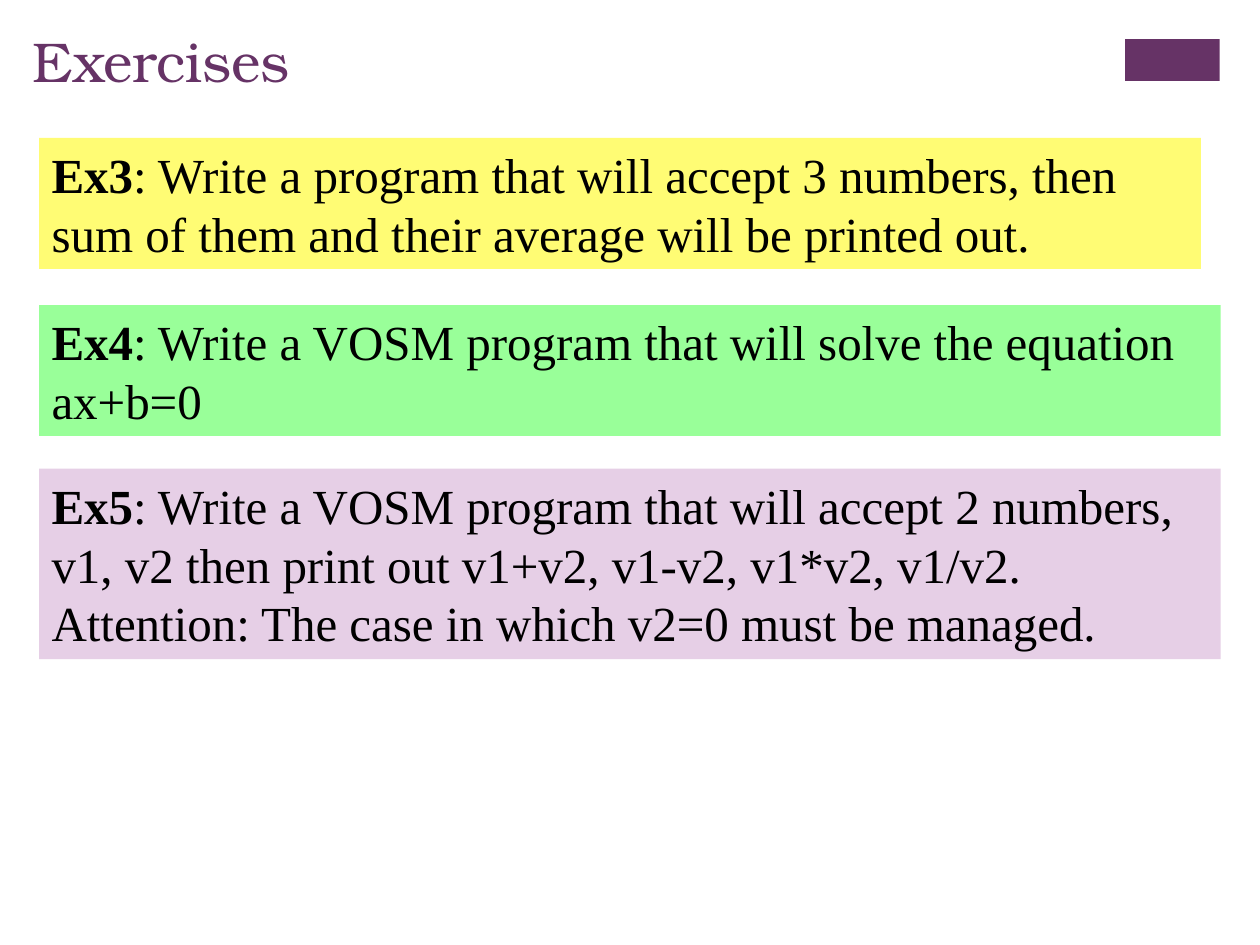
from dataclasses import dataclass

from pptx import Presentation
from pptx.dml.color import RGBColor
from pptx.enum.shapes import MSO_SHAPE
from pptx.enum.text import MSO_ANCHOR, PP_ALIGN
from pptx.util import Cm, Pt


@dataclass(frozen=True)
class Theme:
    accent: str = "663366"
    text: str = "000000"
    yellow: str = "FFFC74"
    green: str = "99FF99"
    lilac: str = "E6CFE6"
    title_font: str = "TeX Gyre Bonum"
    body_font: str = "Times New Roman"
    title_size: int = 32
    body_size: int = 28


def add_text(paragraph, text, *, font, size, color, bold=False):
    run = paragraph.add_run()
    run.text = text
    run.font.name = font
    run.font.size = Pt(size)
    run.font.bold = bold
    run.font.color.rgb = RGBColor.from_string(color)


class SlideBuilder:
    def __init__(self, slide, theme):
        self.slide = slide
        self.theme = theme

    def prepare_frame(self, shape):
        frame = shape.text_frame
        frame.word_wrap = True
        frame.vertical_anchor = MSO_ANCHOR.TOP
        frame.margin_left = frame.margin_right = Cm(0.25)
        frame.margin_top = frame.margin_bottom = Cm(0.13)
        return frame

    def title(self, text, left, top, width, height):
        shape = self.slide.shapes.title
        shape.left, shape.top = Cm(left), Cm(top)
        shape.width, shape.height = Cm(width), Cm(height)
        paragraph = self.prepare_frame(shape).paragraphs[0]
        paragraph.alignment = PP_ALIGN.LEFT
        add_text(paragraph, text, font=self.theme.title_font,
                 size=self.theme.title_size, color=self.theme.accent)

    def rectangle(self, left, top, width, height, fill):
        shape = self.slide.shapes.add_shape(
            MSO_SHAPE.RECTANGLE, Cm(left), Cm(top), Cm(width), Cm(height))
        shape.shadow.inherit = False
        shape.fill.solid()
        shape.fill.fore_color.rgb = RGBColor.from_string(fill)
        shape.line.fill.background()
        return shape

    def exercise(self, label, lines, top, width, height, fill):
        shape = self.rectangle(0.79, top, width, height, fill)
        frame = self.prepare_frame(shape)
        style = dict(font=self.theme.body_font, size=self.theme.body_size,
                     color=self.theme.text)
        for index, line in enumerate(lines):
            paragraph = frame.add_paragraph() if index else frame.paragraphs[0]
            paragraph.alignment = PP_ALIGN.LEFT
            if index == 0:
                add_text(paragraph, label, bold=True, **style)
            add_text(paragraph, line, **style)


def main():
    theme = Theme()
    presentation = Presentation()
    presentation.slide_width, presentation.slide_height = Cm(25.4), Cm(19.05)
    slide = presentation.slides.add_slide(presentation.slide_layouts[5])
    builder = SlideBuilder(slide, theme)

    builder.rectangle(22.68, 0.79, 1.91, 0.84, theme.accent)
    builder.title("Exercises", 0.41, 0.41, 11.91, 1.98)

    exercises = [
        ("Ex3", [": Write a program that will accept 3 numbers, then sum of them "
                 "and their average will be printed out."],
         2.78, 23.42, 2.64, theme.yellow),
        ("Ex4", [": Write a VOSM program that will solve the equation ax+b=0"],
         6.15, 23.82, 2.64, theme.green),
        ("Ex5", [": Write a VOSM program that will accept 2 numbers, v1, v2 then "
                 "print out v1+v2, v1-v2, v1*v2, v1/v2.",
                 "Attention: The case in which v2=0 must be managed."],
         9.45, 23.82, 3.84, theme.lilac),
    ]
    for exercise in exercises:
        builder.exercise(*exercise)

    presentation.save("out.pptx")


if __name__ == "__main__":
    main()
